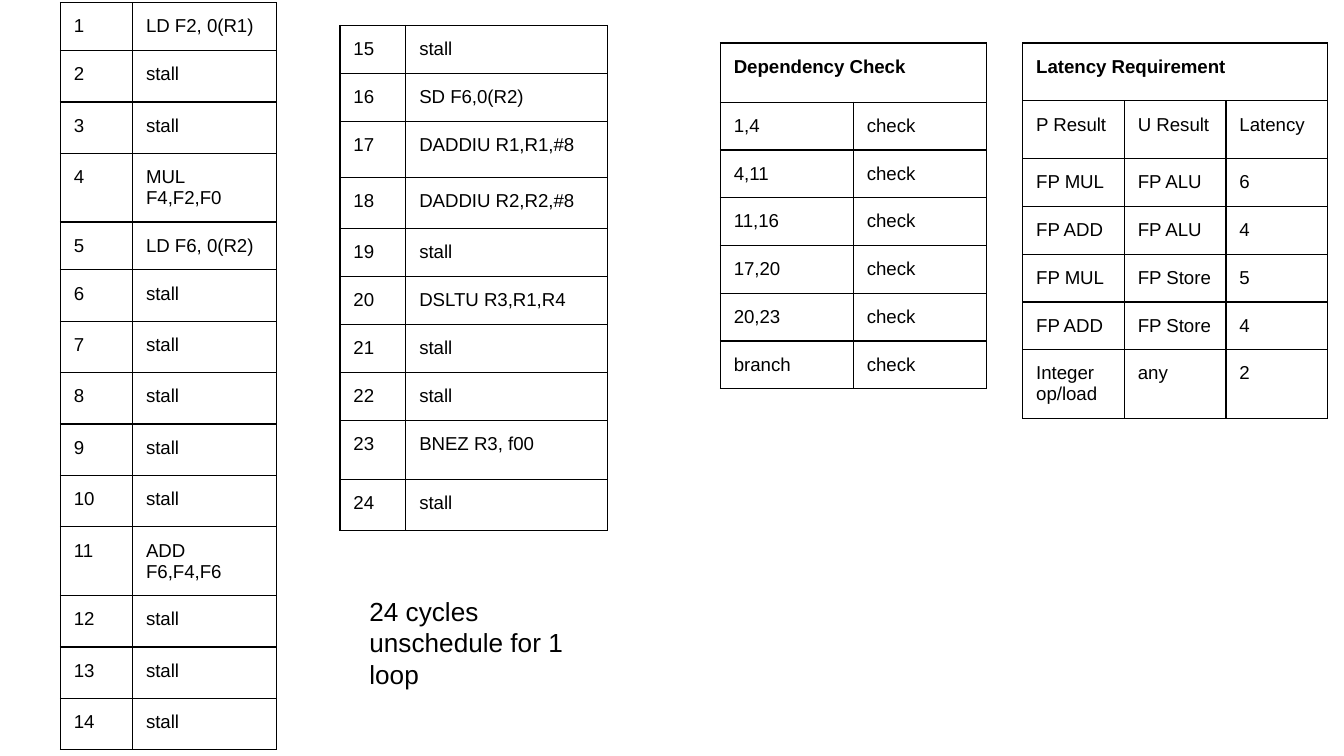
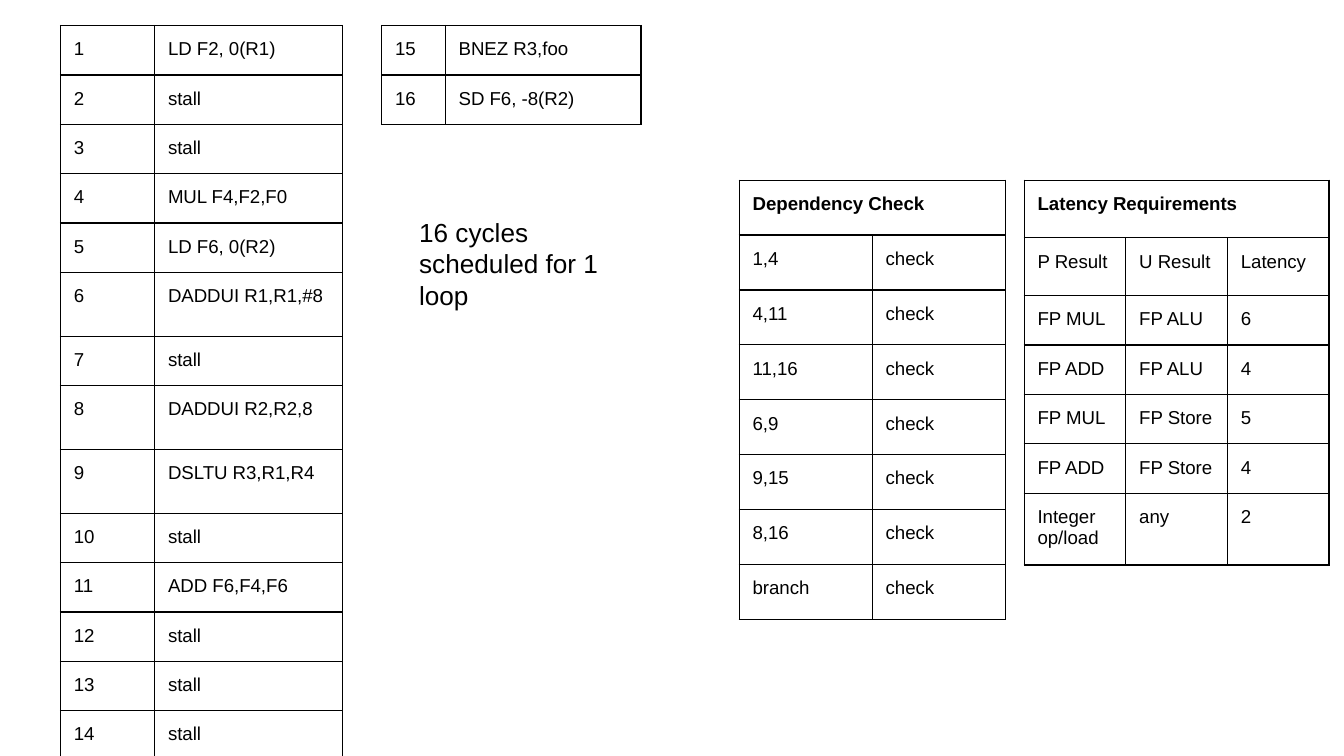
import pptx
import pptx.dml.color
import pptx.oxml.ns
import pptx.util
from lxml import etree

COLORS = {"ink": "000000", "paper": "FFFFFF"}
FONT = "Arial"
GRID = pptx.util.Inches(0.1)
INSET = GRID
BORDER = pptx.util.Pt(0.75)

LATENCY_ROWS = [
    ["P Result", "U Result", "Latency"],
    ["FP MUL", "FP ALU", "6"],
    ["FP ADD", "FP ALU", "4"],
    ["FP MUL", "FP Store", "5"],
    ["FP ADD", "FP Store", "4"],
    ["Integer op/load", "any", "2"],
]
LATENCY_HEIGHTS = [4.3, 4.3, 2.8, 2.8, 2.8, 2.8, 4.3]

UNSCHEDULED = [
    "LD F2, 0(R1)", "stall", "stall", "MUL F4,F2,F0", "LD F6, 0(R2)",
    "stall", "stall", "stall", "stall", "stall", "ADD F6,F4,F6",
    "stall", "stall", "stall", "stall", "SD F6,0(R2)",
    "DADDIU R1,R1,#8", "DADDIU R2,R2,#8", "stall", "DSLTU R3,R1,R4",
    "stall", "stall", "BNEZ R3, f00", "stall",
]
SCHEDULED = [
    "LD F2, 0(R1)", "stall", "stall", "MUL F4,F2,F0", "LD F6, 0(R2)",
    "DADDUI R1,R1,#8", "stall", "DADDUI R2,R2,8", "DSLTU R3,R1,R4",
    "stall", "ADD F6,F4,F6", "stall", "stall", "stall", "BNEZ R3,foo",
    "SD F6, -8(R2)",
]
FIRST_PART = 14


def grid(count):
    return round(count * GRID)


def color(name):
    return pptx.dml.color.RGBColor.from_string(COLORS[name])


def style_text(frame, text, size, bold=False):
    frame.word_wrap = True
    frame.margin_left = frame.margin_right = INSET
    frame.margin_top = frame.margin_bottom = INSET
    para = frame.paragraphs[0]
    para.text = text
    para.font.name = FONT
    para.font.size = pptx.util.Pt(size)
    para.font.bold = bold
    para.font.color.rgb = color("ink")


def outline_cell(cell):
    properties = cell._tc.get_or_add_tcPr()
    for position, side in enumerate(("lnL", "lnR", "lnT", "lnB")):
        line = etree.Element(pptx.oxml.ns.qn(f"a:{side}"), w=str(BORDER))
        fill = etree.SubElement(line, pptx.oxml.ns.qn("a:solidFill"))
        etree.SubElement(fill, pptx.oxml.ns.qn("a:srgbClr"), val=COLORS["ink"])
        properties.insert(position, line)


def draw_table(page, box, shares, heights, rows, title=None):
    left, top, width, height = map(grid, box)
    if title:
        rows = [[title] + [""] * (len(shares) - 1)] + rows
    holder = page.shapes.add_table(len(rows), len(shares), left, top, width, height)
    table = holder.table
    table.first_row = table.horz_banding = False
    for column, share in zip(table.columns, shares):
        column.width = round(width * share / sum(shares))
    for row, row_height in zip(table.rows, heights):
        row.height = grid(row_height)
    for row_index, texts in enumerate(rows):
        for column_index, text in enumerate(texts):
            cell = table.cell(row_index, column_index)
            cell.margin_left = cell.margin_right = INSET
            cell.margin_top = cell.margin_bottom = INSET
            cell.fill.background()
            outline_cell(cell)
            if text:
                heading = bool(title) and row_index == 0
                style_text(cell.text_frame, text, 10, heading)
    if title:
        table.cell(0, 0).merge(table.cell(0, len(shares) - 1))
    holder.height = height


def draw_cycles(page, box, shares, usual, special, start, instructions):
    rows = [[str(cycle), text] for cycle, text in enumerate(instructions, start)]
    heights = [special.get(cycle, usual) for cycle in range(start, start + len(rows))]
    draw_table(page, box, shares, heights, rows)


def draw_dependencies(page, box, heights, pairs):
    rows = [[pair, "check"] for pair in pairs]
    draw_table(page, box, (1, 1), heights, rows, "Dependency Check")


def draw_latency(page, left, top, title):
    box = (left, top, 22.7, 28.6)
    draw_table(page, box, (1, 1, 1), LATENCY_HEIGHTS, LATENCY_ROWS, title)


def draw_summary(page, box, text):
    note = page.shapes.add_textbox(*map(grid, box))
    style_text(note.text_frame, text, 14)


def add_page(deck):
    page = deck.slides.add_slide(deck.slide_layouts[6])
    page.background.fill.solid()
    page.background.fill.fore_color.rgb = color("paper")
    return page


def build_unscheduled(deck):
    page = add_page(deck)
    draw_cycles(page, (4.5, 0.2, 16.1, 56.3), (1, 2), 3.83, {1: 3.5, 5: 3.5},
                1, UNSCHEDULED[:FIRST_PART])
    draw_cycles(page, (25.3, 1.9, 19.9, 38.3), (4.9, 15), 3.5,
                {17: 4.2, 18: 3.8, 20: 3.6, 23: 4.4, 24: 3.8},
                FIRST_PART + 1, UNSCHEDULED[FIRST_PART:])
    draw_latency(page, 76.1, 3.2, "Latency Requirement")
    draw_dependencies(page, (53.6, 3.2, 19.8, 26.4), [4.4] + [3.5] * 6,
                      ["1,4", "4,11", "11,16", "17,20", "20,23", "branch"])
    draw_summary(page, (26.5, 43.3, 17.5, 8.9), "24 cycles unschedule for 1 loop")


def build_scheduled(deck):
    page = add_page(deck)
    draw_cycles(page, (4.5, 1.9, 21, 54.6), (1, 2), 3.6,
                {6: 4.75, 8: 4.75, 9: 4.75}, 1, SCHEDULED[:FIRST_PART])
    draw_cycles(page, (28.4, 1.9, 19.3, 7.3), (4.7, 14.5), 3.5, {},
                FIRST_PART + 1, SCHEDULED[FIRST_PART:])
    draw_latency(page, 76.2, 13.4, "Latency Requirements")
    draw_dependencies(page, (55, 13.4, 19.8, 32.7), [4.09] * 8,
                      ["1,4", "4,11", "11,16", "6,9", "9,15", "8,16", "branch"])
    draw_summary(page, (30.2, 15.1, 17.5, 11), "16 cycles scheduled for 1 loop")


def main():
    deck = pptx.Presentation()
    deck.slide_width = grid(100)
    deck.slide_height = grid(56.25)
    build_unscheduled(deck)
    build_scheduled(deck)
    deck.save("out.pptx")


if __name__ == "__main__":
    main()
